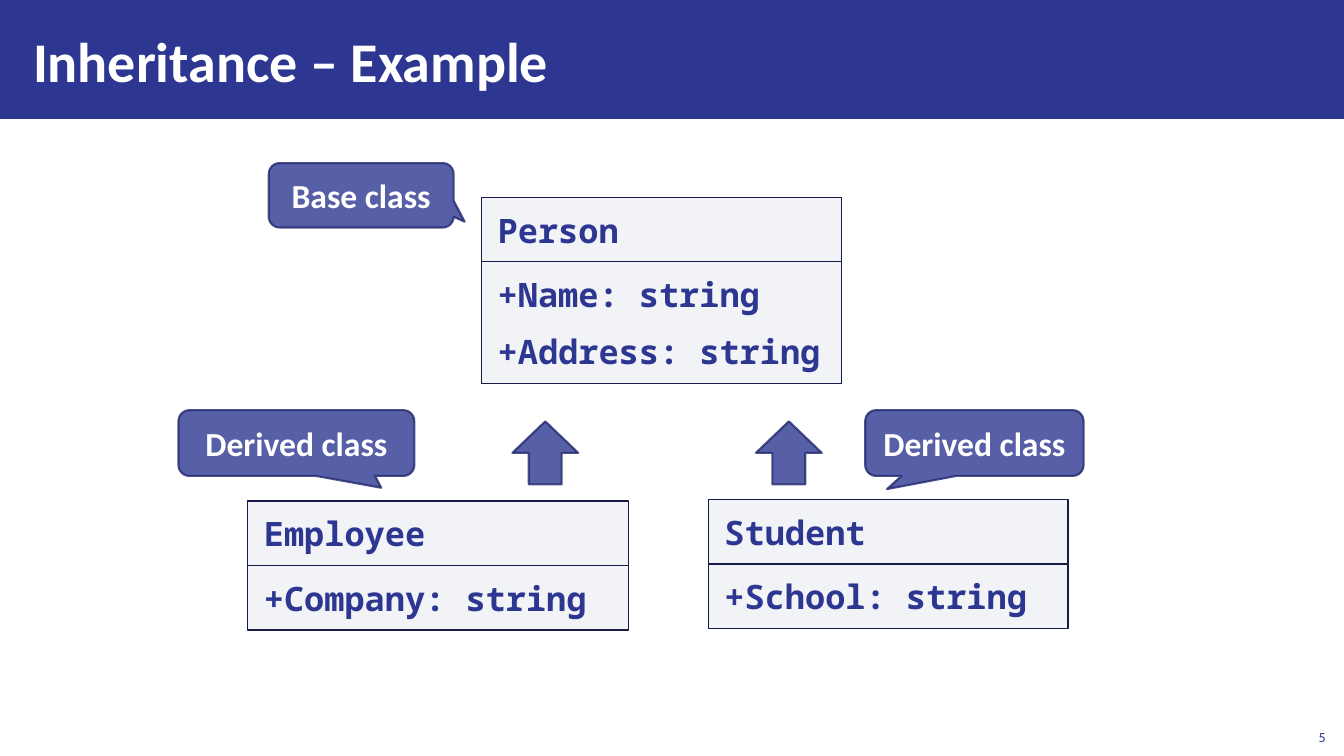
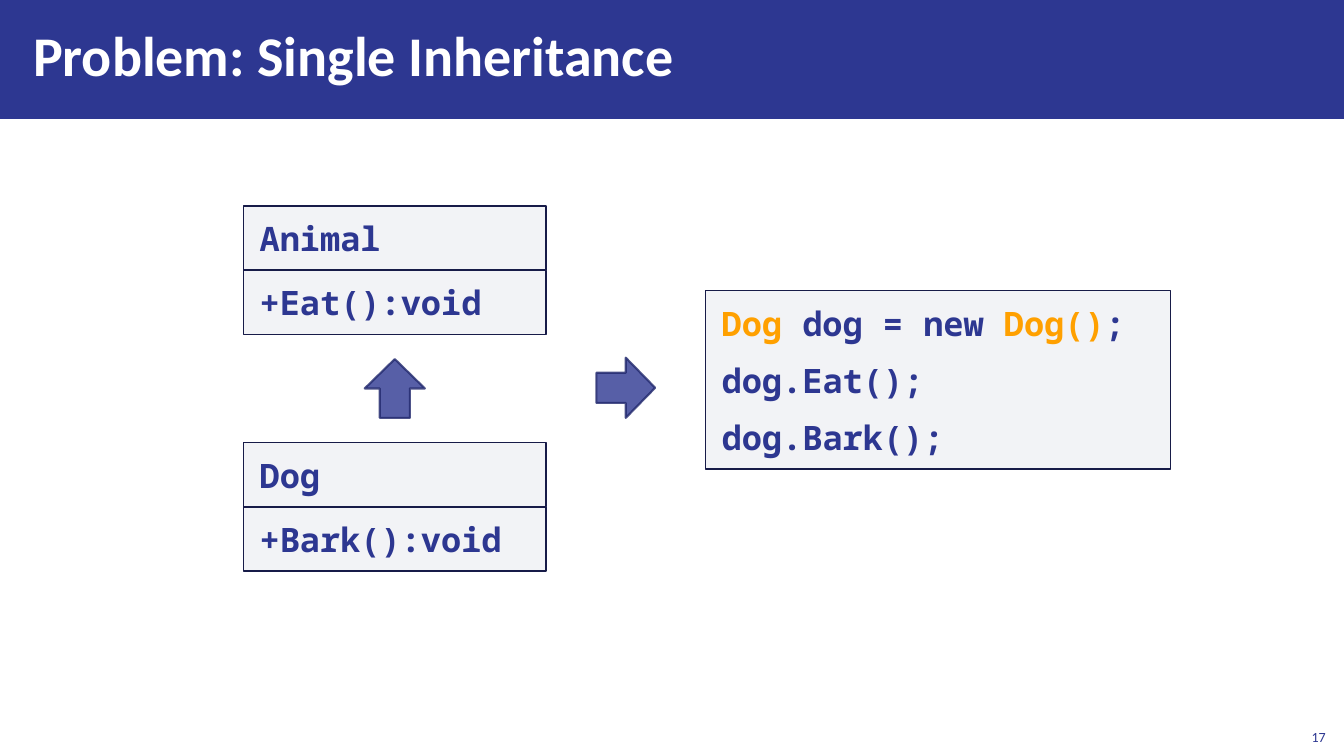
from lxml import etree
from pptx import Presentation
from pptx.dml.color import RGBColor
from pptx.enum.shapes import MSO_SHAPE
from pptx.enum.text import MSO_ANCHOR, PP_ALIGN
from pptx.oxml.ns import qn
from pptx.util import Pt

# Shared look
NAVY = RGBColor(0x2D, 0x37, 0x91)
EDGE = RGBColor(0x22, 0x29, 0x6D)
DARK = RGBColor(0x17, 0x1B, 0x48)
GREY = RGBColor(0xAD, 0xB4, 0xC3)
GOLD = RGBColor(0xFF, 0xA0, 0x00)
WHITE = RGBColor(0xFF, 0xFF, 0xFF)
SANS, MONO = "Calibri", "Noto Sans Mono"

RECT = MSO_SHAPE.RECTANGLE
BUBBLE = MSO_SHAPE.ROUNDED_RECTANGULAR_CALLOUT
UP, RIGHT = MSO_SHAPE.UP_ARROW, MSO_SHAPE.RIGHT_ARROW
TOP, MIDDLE, BOTTOM = MSO_ANCHOR.TOP, MSO_ANCHOR.MIDDLE, MSO_ANCHOR.BOTTOM
LEFT, CENTER, END = PP_ALIGN.LEFT, PP_ALIGN.CENTER, PP_ALIGN.RIGHT

WIDE, HIGH, BAND = 960, 540, 85
LINE, GAP, PAD = 28.8, 6, 8.6


def pts(box):
    return [Pt(n) for n in box]


def fade(fill, color, alpha):
    """Solid fill with an opacity in percent."""
    fill.solid()
    fill.fore_color.rgb = color
    if alpha < 100:
        node = fill._xPr.find(qn("a:solidFill")).find(qn("a:srgbClr"))
        etree.SubElement(node, qn("a:alpha"), val=str(alpha * 1000))


def draw(slide, kind, box, color, alpha=100, line=None, weight=1, clear=100):
    shape = slide.shapes.add_shape(kind, *pts(box))
    shape.shadow.inherit = False
    fade(shape.fill, color, alpha)
    if line is None:
        shape.line.fill.background()
    else:
        shape.line.width = Pt(weight)
        fade(shape.line.fill, line, clear)
    return shape


def write(shape, paras, size=24, font=SANS, color=NAVY, bold=True, align=LEFT,
          anchor=MIDDLE, pad=(7.2, 3.6), gap=0, pitch=None):
    """Each paragraph is a string or a list of (text, color) runs."""
    frame = shape.text_frame
    frame.word_wrap = True
    frame.vertical_anchor = anchor
    frame.margin_left = frame.margin_right = Pt(pad[0])
    frame.margin_top = frame.margin_bottom = Pt(pad[1])
    for i, runs in enumerate(paras):
        para = frame.add_paragraph() if i else frame.paragraphs[0]
        para.alignment = align
        para.space_before = para.space_after = Pt(gap)
        if pitch:
            para.line_spacing = Pt(pitch)
        if isinstance(runs, str):
            runs = [(runs, color)]
        for text, tint in runs:
            run = para.add_run()
            run.text = text
            run.font.size = Pt(size)
            run.font.name = font
            run.font.bold = bold
            run.font.color.rgb = tint


# Parts of a slide
def base(deck, title, number, pitch=None):
    slide = deck.slides.add_slide(deck.slide_layouts[6])
    draw(slide, RECT, (0, 0, WIDE, BAND), NAVY)
    head = slide.shapes.add_textbox(*pts((15, 8, 749, 70)))
    write(head, [title], size=40, color=WHITE, pad=(8.6, 3), pitch=pitch)
    foot = slide.shapes.add_textbox(*pts((925, 513, 29, 23)))
    write(foot, [number], size=10, bold=False, align=END, anchor=BOTTOM)
    return slide


def code(slide, x, y, w, lines):
    """Code box as tall as its lines; returns its bottom."""
    count = len(lines)
    h = 2 * PAD + count * LINE + (count - 1) * 2 * GAP
    shape = draw(slide, RECT, (x, y, w, h), GREY, 15, DARK)
    write(shape, lines, font=MONO, anchor=TOP, pad=(11.5, PAD),
          gap=GAP, pitch=LINE)
    return y + h


def card(slide, x, y, w, name, *members):
    """Class box: the name above its members."""
    code(slide, x, code(slide, x, y, w, [name]), w, members)


def mark(slide, kind, *box):
    return draw(slide, kind, box, NAVY, 80, EDGE, 1.5, 80)


def bubble(slide, box, tip, text):
    shape = mark(slide, BUBBLE, *box)
    for i, part in enumerate(tip):
        shape.adjustments[i] = part
    write(shape, [text], color=WHITE, align=CENTER)


# Slides
def family(deck):
    slide = base(deck, "Inheritance – Example", "5")
    card(slide, 344, 141, 257, "Person", "+Name: string", "+Address: string")
    card(slide, 177, 358, 272, "Employee", "+Company: string")
    card(slide, 506, 357, 257, "Student", "+School: string")
    bubble(slide, (127.5, 293, 168.5, 47), (0.36, 0.68), "Derived class")
    bubble(slide, (618, 293, 156, 47), (-0.4, 0.7), "Derived class")
    bubble(slide, (192, 116.5, 132, 46), (0.56, 0.41), "Base class")
    for x in (366, 540):
        mark(slide, UP, x, 301, 47, 45)


def single(deck):
    slide = base(deck, "Problem: Single Inheritance", "17", pitch=40)
    card(slide, 174, 147, 216, "Animal", "+Eat():void")
    card(slide, 174, 316, 216, "Dog", "+Bark():void")
    mark(slide, UP, 260.5, 256.5, 43, 42)
    mark(slide, RIGHT, 426, 255.5, 42, 43)
    first = [("Dog", GOLD), (" dog = new ", NAVY), ("Dog()", GOLD), (";", NAVY)]
    code(slide, 504, 207.5, 332, [first, "dog.Eat();", "dog.Bark();"])


def main():
    deck = Presentation()
    deck.slide_width, deck.slide_height = pts((WIDE, HIGH))
    family(deck)
    single(deck)
    deck.save("out.pptx")


if __name__ == "__main__":
    main()
